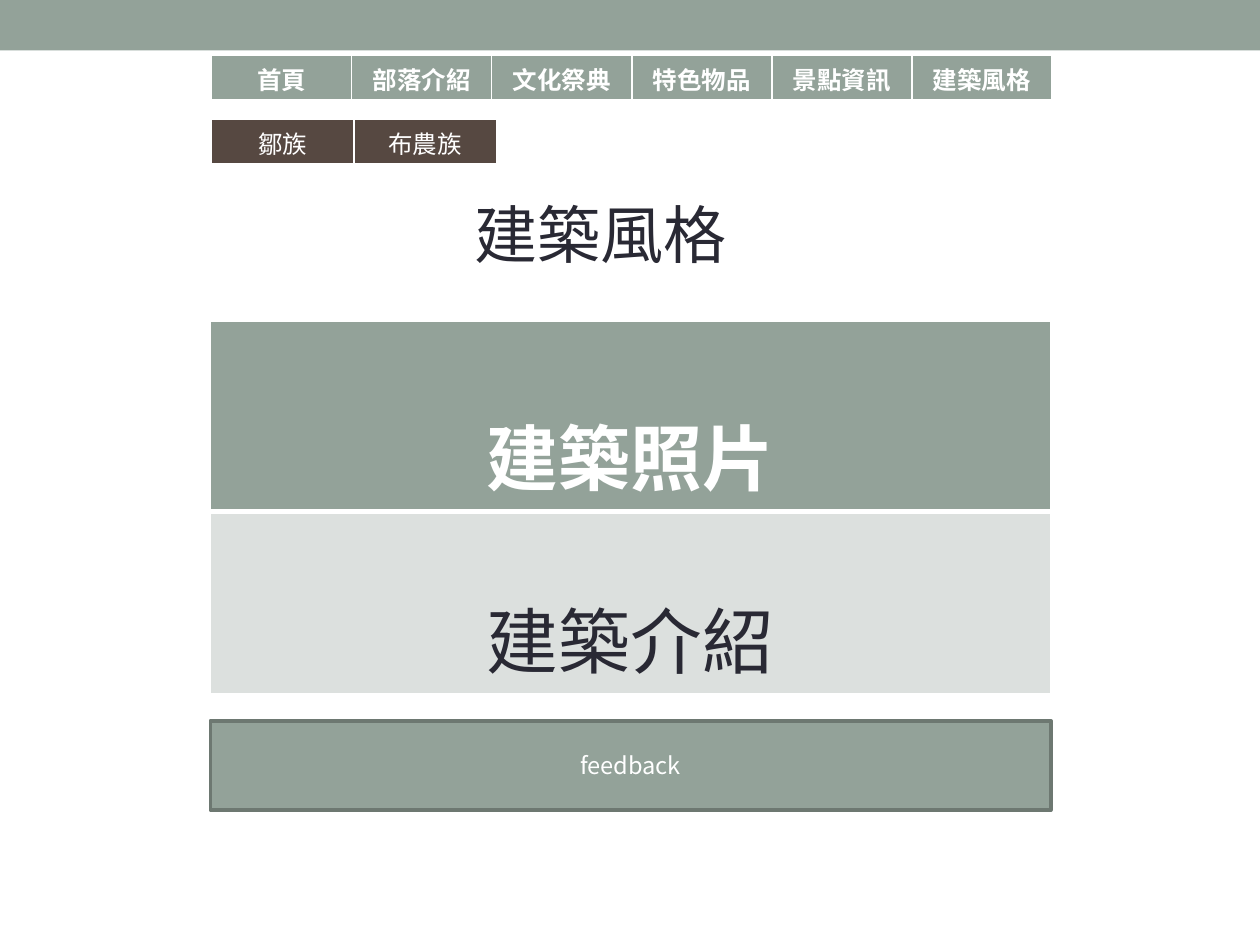
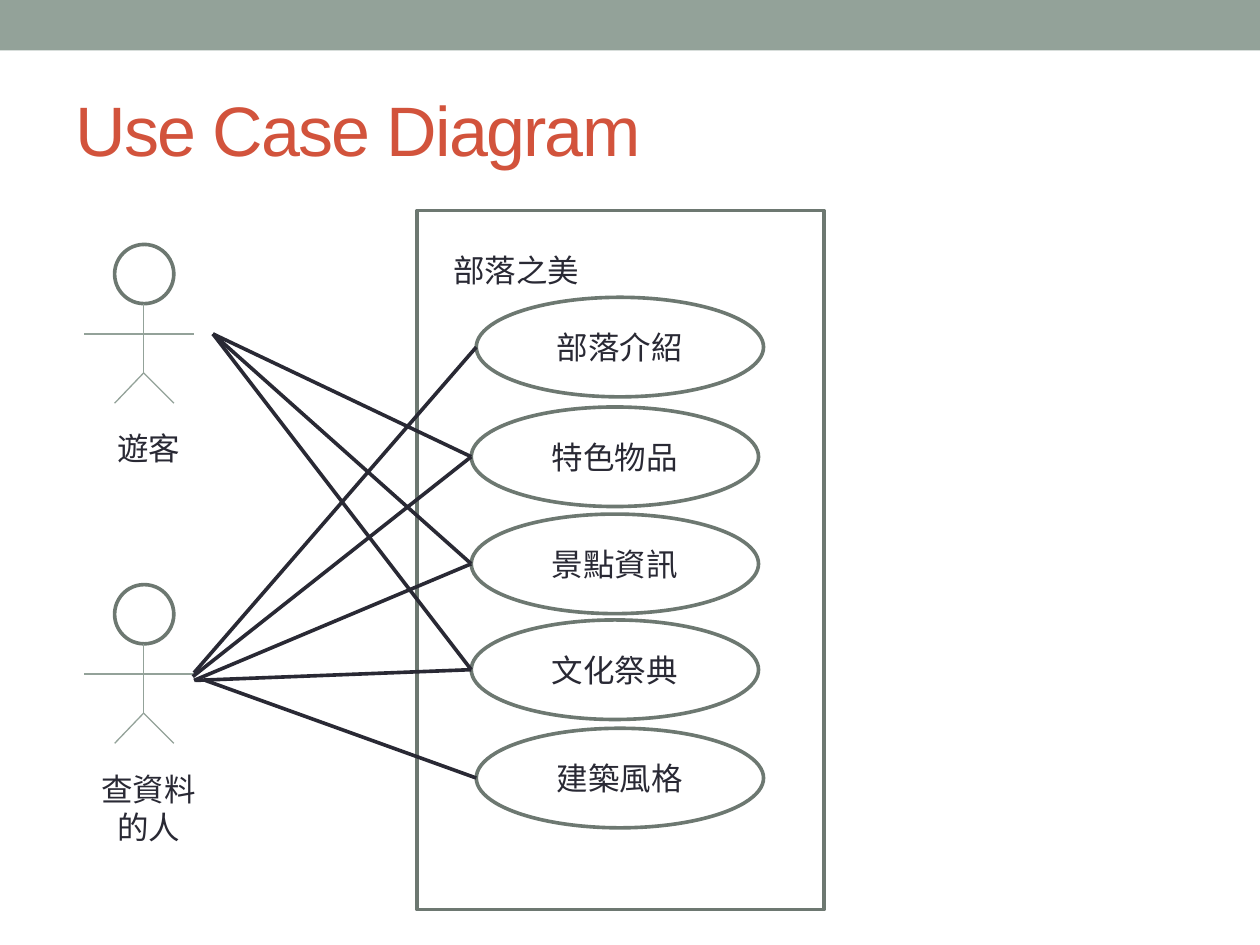
from lxml.etree import SubElement
from pptx import Presentation
from pptx.dml.color import RGBColor
from pptx.enum.shapes import MSO_CONNECTOR as Link, MSO_SHAPE as Kind
from pptx.enum.text import MSO_ANCHOR as Anchor, MSO_AUTO_SIZE as Auto, PP_ALIGN as Align
from pptx.oxml.ns import qn
from pptx.util import Inches, Pt

HUES = {"sage": "93A299", "edge": "6D7871", "brown": "564841", "pale": "DCE0DE",
        "white": "FFFFFF", "ink": "292934", "rust": "D2533C"}
NOTO, ARIAL = "Noto Sans CJK SC", "Arial"
MENU = ["首頁", "部落介紹", "文化祭典", "特色物品", "景點資訊", "建築風格"]
TRIBES = ["鄒族", "布農族"]
CASES = [("部落介紹", 3.78, 2.36), ("特色物品", 3.74, 3.23), ("景點資訊", 3.74, 4.08),
         ("文化祭典", 3.74, 4.92), ("建築風格", 3.78, 5.78)]
CASE_W, CASE_H = 2.28, 0.79
USES = [(1.69, 2.65, 1), (1.69, 2.65, 2), (1.69, 2.65, 3), (1.54, 5.34, 0),
        (1.53, 5.37, 1), (1.54, 5.4, 2), (1.55, 5.4, 3), (1.63, 5.4, 4)]


def hue(name):
    """Return the named colour."""
    return RGBColor.from_string(HUES[name])


def write(frame, text, size, color="ink", font=ARIAL, align=Align.CENTER, bold=False, track=0):
    """Write one styled run in a text frame."""
    frame.word_wrap = True
    para = frame.paragraphs[0]
    para.alignment = align
    run = para.add_run()
    run.text = text
    face = run.font
    face.size, face.name, face.bold = Pt(size), font, bold
    face.color.rgb = hue(color)
    props = run._r.get_or_add_rPr()
    SubElement(props, qn("a:ea")).set("typeface", NOTO)
    if track:
        props.set("spc", str(track * 100))


def shape(slide, kind, box, fill, edge=None):
    """Add a flat preset shape."""
    item = slide.shapes.add_shape(kind, *map(Inches, box))
    item.shadow.inherit = False
    item.fill.solid()
    item.fill.fore_color.rgb = hue(fill)
    if edge:
        item.line.color.rgb = hue(edge)
        item.line.width = Pt(2.08)
    else:
        item.line.fill.background()
    item.text_frame.vertical_anchor = Anchor.MIDDLE
    return item


def line(slide, ends, color, width):
    """Add a straight line without shadow."""
    item = slide.shapes.add_connector(Link.STRAIGHT, *map(Inches, ends))
    item.line.color.rgb = hue(color)
    item.line.width = Pt(width)
    SubElement(item.element.spPr, qn("a:effectLst"))


def label(slide, box, text, align=Align.CENTER):
    """Add a plain text box."""
    item = slide.shapes.add_textbox(*map(Inches, box))
    write(item.text_frame, text, 18, align=align)


def title(slide, box, text, size, color, align, top=0.05, track=0):
    """Place and fill the title placeholder."""
    item = slide.shapes.title
    item.left, item.top, item.width, item.height = map(Inches, box)
    frame = item.text_frame
    frame.auto_size = Auto.NONE
    frame.vertical_anchor = Anchor.TOP
    frame.margin_top = Inches(top)
    write(frame, text, size, color, align=align, track=track)


def paint(cell, fill, base):
    """Give a cell its borders, fill and margins."""
    props = cell._tc.get_or_add_tcPr()
    for side, width in (("L", 1), ("R", 1), ("T", 1), ("B", base)):
        rule = SubElement(props, qn(f"a:ln{side}"), w=str(Pt(width)))
        solid = SubElement(rule, qn("a:solidFill"))
        SubElement(solid, qn("a:srgbClr"), val=HUES["white"])
    cell.fill.solid()
    cell.fill.fore_color.rgb = hue(fill)
    cell.margin_left = cell.margin_right = Inches(0.07)
    cell.margin_top = cell.margin_bottom = Inches(0.04)


def grid(slide, box, rows, cols):
    """Add a table without banding."""
    table = slide.shapes.add_table(rows, cols, *map(Inches, box)).table
    table.horz_banding = False
    table.first_row = False
    return table


def menu(slide, box, names, fill, bold):
    """Draw a one-row menu with equal cells."""
    table = grid(slide, box, 1, len(names))
    for cell, name in zip(table.rows[0].cells, names):
        paint(cell, fill, 3)
        write(cell.text_frame, name, 14, "white", NOTO, bold=bold)


def panel(slide, box):
    """Draw the photo and description cells."""
    table = grid(slide, box, 2, 1)
    rows = [("建築照片", 1.51, "sage", "white", True, 3),
            ("建築介紹", 1.45, "pale", "ink", False, 1)]
    for i, (text, high, fill, color, bold, base) in enumerate(rows):
        table.rows[i].height = Inches(high)
        cell = table.cell(i, 0)
        paint(cell, fill, base)
        cell.vertical_anchor = Anchor.BOTTOM
        write(cell.text_frame, text, 41, color, NOTO, bold=bold)


def actor(slide, left, top, name, high):
    """Draw a stick figure with its name."""
    shape(slide, Kind.OVAL, (left + 0.24, top, 0.47, 0.47), "white", "edge")
    limbs = [(0, 0.71, 0.87, 0.71), (0.47, 0.47, 0.47, 1.02),
             (0.47, 1.02, 0.24, 1.26), (0.47, 1.02, 0.71, 1.26)]
    for x1, y1, x2, y2 in limbs:
        line(slide, (left + x1, top + y1, left + x2, top + y2), "sage", 0.75)
    label(slide, (left, top + 1.42, 1.02, high), name)


def system(slide, box):
    """Draw the system frame with its use cases."""
    left, top = box[:2]
    shape(slide, Kind.RECTANGLE, box, "white", "edge")
    label(slide, (left + 0.19, top + 0.27, 1.42, 0.4), "部落之美", Align.LEFT)
    for name, x, y in CASES:
        item = shape(slide, Kind.OVAL, (x, y, CASE_W, CASE_H), "white", "edge")
        write(item.text_frame, name, 18)


def page(slide):
    """Build the architecture page mock-up."""
    menu(slide, (1.68, 0.44, 6.67, 0.31), MENU, "sage", True)
    menu(slide, (1.68, 0.95, 2.26, 0.31), TRIBES, "brown", False)
    panel(slide, (1.67, 2.55, 6.67, 2.96))
    item = shape(slide, Kind.RECTANGLE, (1.67, 5.72, 6.67, 0.71), "sage", "edge")
    write(item.text_frame, "feedback", 13.5, "white", NOTO)
    title(slide, (2.64, 1.5, 4.25, 0.71), "建築風格", 36, "ink", Align.CENTER)


def diagram(slide):
    """Build the use case diagram."""
    title(slide, (0.5, 0.58, 9, 1.08), "Use Case Diagram", 40, "rust", Align.LEFT, 0.11, -1)
    system(slide, (3.31, 1.67, 3.23, 5.55))
    actor(slide, 0.67, 1.94, "遊客", 0.4)
    actor(slide, 0.67, 4.64, "查資料的人", 0.71)
    for x, y, case in USES:
        _, left, top = CASES[case]
        line(slide, (x, y, left, top + CASE_H / 2), "ink", 2.08)


def band(deck, slide):
    """Put the top band on the slide master."""
    item = shape(slide, Kind.RECTANGLE, (0, 0, 10, 0.4), "sage")
    item.element.xpath(".//p:cNvPr")[0].set("id", "99")
    deck.slide_master.shapes.element.insert(2, item.element)


def main():
    """Build and save the deck."""
    deck = Presentation()
    deck.slide_width, deck.slide_height = Inches(10), Inches(7.5)
    for build in (page, diagram):
        slide = deck.slides.add_slide(deck.slide_layouts[5])
        if build is page:
            band(deck, slide)
        build(slide)
    deck.save("out.pptx")


if __name__ == "__main__":
    main()
